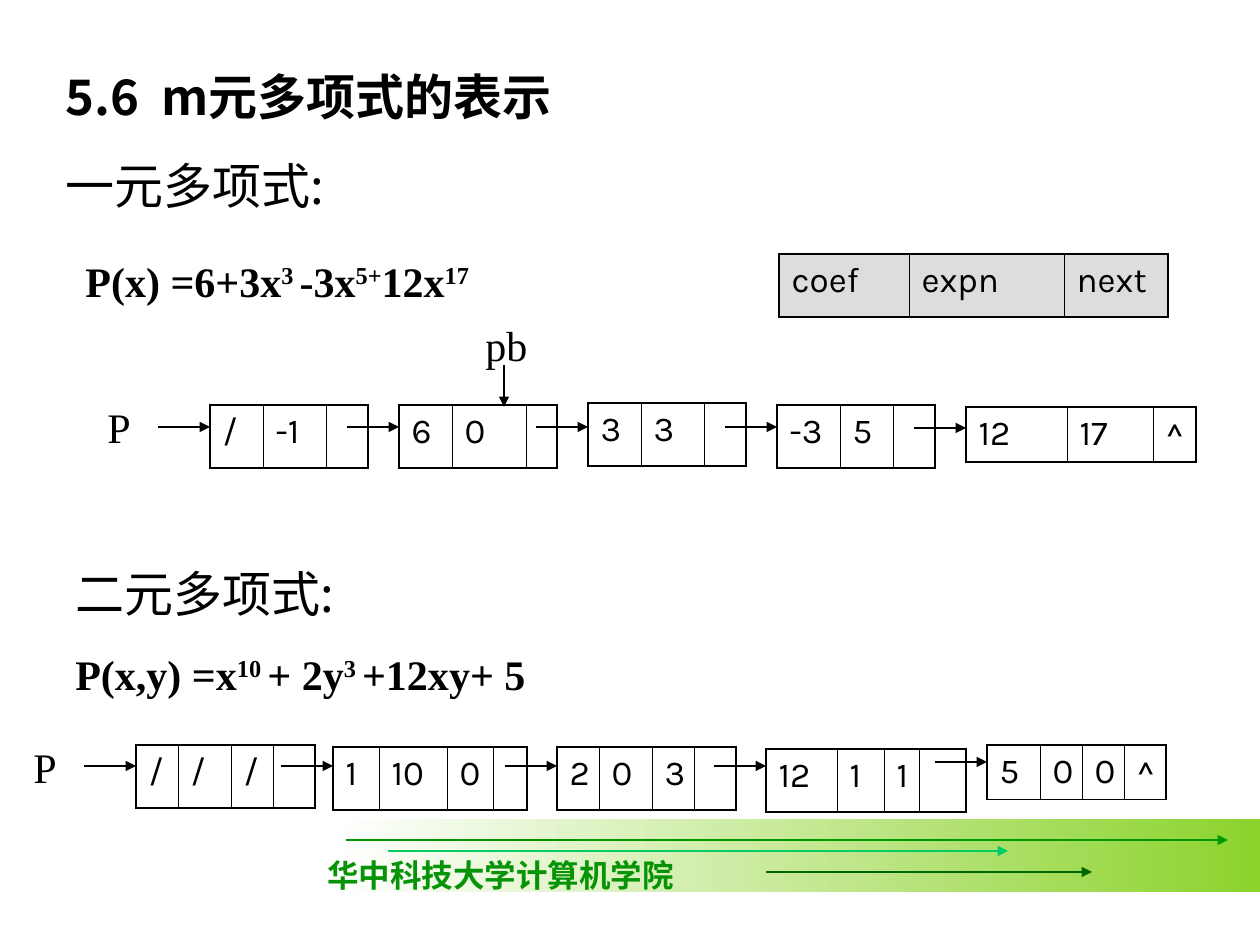
from dataclasses import dataclass

from lxml import etree
from pptx import Presentation
from pptx import util as u
from pptx.dml.color import RGBColor
from pptx.enum import shapes, text
from pptx.oxml.ns import qn

PX_PER_INCH = 126


def px(n):
    return u.Emu(round(n * 914400 / PX_PER_INCH))


@dataclass(frozen=True)
class Theme:
    ink: str = "000000"
    white: str = "FFFFFF"
    header: str = "DDDDDD"
    lime: str = "8CD32D"
    school: str = "069406"
    greens: tuple = ("009900", "00CC66", "006600")
    serif: str = "Times New Roman"
    sans: str = "Noto Sans CJK SC"
    cell_font: str = "Karla"
    heading: int = 28
    formula: int = 24
    cell: int = 20
    footer: int = 18
    line: float = 0.75
    outer: float = 1.08
    inner: float = 0.45


@dataclass
class Builder:
    theme: Theme
    s: object

    def style(self, r, size, font, bold=False, color=None):
        r.font.size, r.font.name, r.font.bold = u.Pt(size), font, bold
        r.font.color.rgb = RGBColor.from_string(color or self.theme.ink)
        ea = etree.SubElement(r.font._element, qn("a:ea"))
        ea.set("typeface", self.theme.sans)

    def paragraph(self, p, content, size, font, bold=False, color=None):
        """Write one paragraph; every second part between bars is superscript."""
        p.alignment = text.PP_ALIGN.LEFT
        for i, part in enumerate(content.split("|")):
            r = p.add_run()
            r.text = part
            self.style(r, size, font, bold, color)
            if i % 2:
                r.font._element.set("baseline", "30000")

    def text(self, box, *paragraphs, wrap=True, title=False):
        box = [px(n) for n in box]
        if title:
            sp = self.s.shapes.title
            sp.left, sp.top, sp.width, sp.height = box
        else:
            sp = self.s.shapes.add_textbox(*box)
        tf = sp.text_frame
        tf.word_wrap = wrap
        tf.auto_size = text.MSO_AUTO_SIZE.SHAPE_TO_FIT_TEXT
        tf.vertical_anchor = text.MSO_ANCHOR.TOP
        for i, args in enumerate(paragraphs):
            p = tf.add_paragraph() if i else tf.paragraphs[0]
            p.space_before = u.Pt(args[1] * 0.625 if i else 0)
            self.paragraph(p, *args)

    def line(self, x1, y1, x2, y2, color=None, head=True):
        ln = self.s.shapes.add_connector(
            shapes.MSO_CONNECTOR.STRAIGHT, px(x1), px(y1), px(x2), px(y2))
        ln.line.color.rgb = RGBColor.from_string(color or self.theme.ink)
        ln.line.width = u.Pt(self.theme.line)
        sp_pr = ln._element.spPr
        if head:
            tail = etree.SubElement(sp_pr.find(qn("a:ln")), qn("a:tailEnd"))
            tail.set("type", "triangle")
        etree.SubElement(sp_pr, qn("a:effectLst"))

    def gradient(self, x, y, w, h, start, end):
        sp = self.s.shapes.add_shape(
            shapes.MSO_SHAPE.RECTANGLE, px(x), px(y), px(w), px(h))
        sp.shadow.inherit = False
        sp.line.fill.background()
        sp.fill.gradient()
        sp.fill.gradient_angle = 0
        for stop, color in zip(sp.fill.gradient_stops, (start, end)):
            stop.color.rgb = RGBColor.from_string(color)

    def border(self, cell, side, width):
        ln = etree.SubElement(cell._tc.get_or_add_tcPr(), qn(f"a:ln{side}"))
        ln.set("w", str(u.Pt(width)))
        fill = etree.SubElement(ln, qn("a:solidFill"))
        etree.SubElement(fill, qn("a:srgbClr")).set("val", self.theme.ink)

    def node(self, x, y, h, widths, labels, fill=None):
        """Draw one list node as a single-row table."""
        t = self.theme
        table = self.s.shapes.add_table(
            1, len(widths), px(x), px(y), px(sum(widths)), px(h)).table
        table.first_row = table.horz_banding = False
        table.rows[0].height = px(h)
        last = len(widths) - 1
        for i, (width, label) in enumerate(zip(widths, labels)):
            table.columns[i].width = px(width)
            cell = table.cell(0, i)
            self.border(cell, "L", t.inner if i else t.outer)
            self.border(cell, "R", t.inner if i < last else t.outer)
            self.border(cell, "T", t.outer)
            self.border(cell, "B", t.outer)
            if fill:
                cell.fill.solid()
                cell.fill.fore_color.rgb = RGBColor.from_string(fill)
            else:
                cell.fill.background()
            if label:
                self.paragraph(cell.text_frame.paragraphs[0], label,
                               t.cell, t.cell_font)

    def linked_list(self, nodes):
        """Draw each node with the arrow that leads to it."""
        for x, y, arrow_y, widths, labels in nodes:
            # A node with an empty next field is taller than the last one
            self.node(x, y, 54 if labels[-1] else 63, widths, labels)
            self.line(x - 52, arrow_y, x, arrow_y)


def main():
    prs = Presentation()
    prs.slide_width, prs.slide_height = px(1260), px(945)
    t = Theme()
    b = Builder(t, prs.slides.add_slide(prs.slide_layouts[5]))

    # Footer band with the school name
    b.gradient(336, 819, 924, 73, t.white, t.lime)
    for (x1, x2, y), color in zip(
            ((346, 1228, 840), (388, 1008, 851), (766, 1092, 872)), t.greens):
        b.line(x1, y, x2, y, color)
    b.text((315, 850, 372, 50),
           ("华中科技大学计算机学院", t.footer, t.serif, True, t.school), wrap=False)
    b.line(1197, 819, 1197, 819, head=False)

    # Title and the polynomial in one variable
    b.text((53, 60, 1071, 161),
           ("5.6  m元多项式的表示", t.heading, t.sans, True),
           ("一元多项式:", t.heading, t.sans), title=True)
    b.text((73, 249, 525, 71),
           ("P(x) =6+3x|3 |-3x|5+|12x|17", t.formula, t.serif, True))

    # Node layout
    b.node(779, 254, 63, (130, 155, 104), ("coef", "expn", "next"), t.header)

    # List in one variable
    b.text((95, 395, 84, 63), ("P", t.formula, t.serif))
    b.linked_list((
        (210, 405, 427, (53, 63, 42), ("/", "-1", "")),
        (399, 405, 427, (53, 74, 31), ("6", "0", "")),
        (588, 403, 427, (53, 63, 42), ("3", "3", "")),
        (777, 405, 427, (63, 53, 42), ("-3", "5", "")),
        (966, 407, 428, (101, 86, 43), ("12", "17", "^")),
    ))
    b.text((473, 313, 84, 63), ("pb", t.formula, t.serif))
    b.line(504, 365, 504, 407)

    # Polynomial in two variables
    b.text((63, 557, 1124, 155),
           ("二元多项式:", t.heading, t.sans),
           ("P(x,y) =x|10 |+ 2y|3 |+12xy+ 5", t.formula, t.serif, True))

    # List in two variables
    b.text((21, 735, 84, 63), ("P", t.formula, t.serif))
    b.linked_list((
        (136, 745, 766, (42, 53, 42, 42), ("/", "/", "/", "")),
        (333, 747, 766, (46, 68, 46, 34), ("1", "10", "0", "")),
        (557, 747, 766, (42, 53, 42, 42), ("2", "0", "3", "")),
        (766, 749, 766, (71, 47, 35, 47), ("12", "1", "1", "")),
        (987, 745, 762, (53, 42, 42, 42), ("5", "0", "0", "^")),
    ))

    prs.save("out.pptx")


if __name__ == "__main__":
    main()
